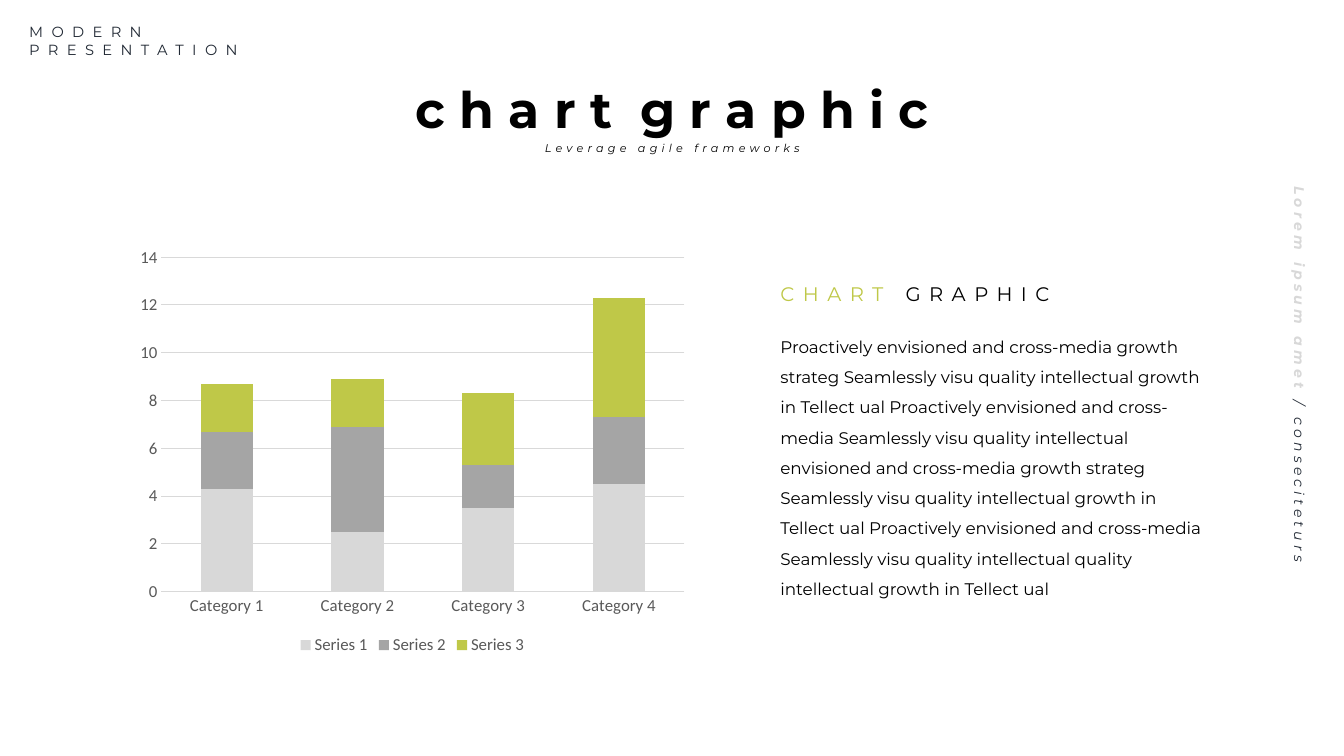
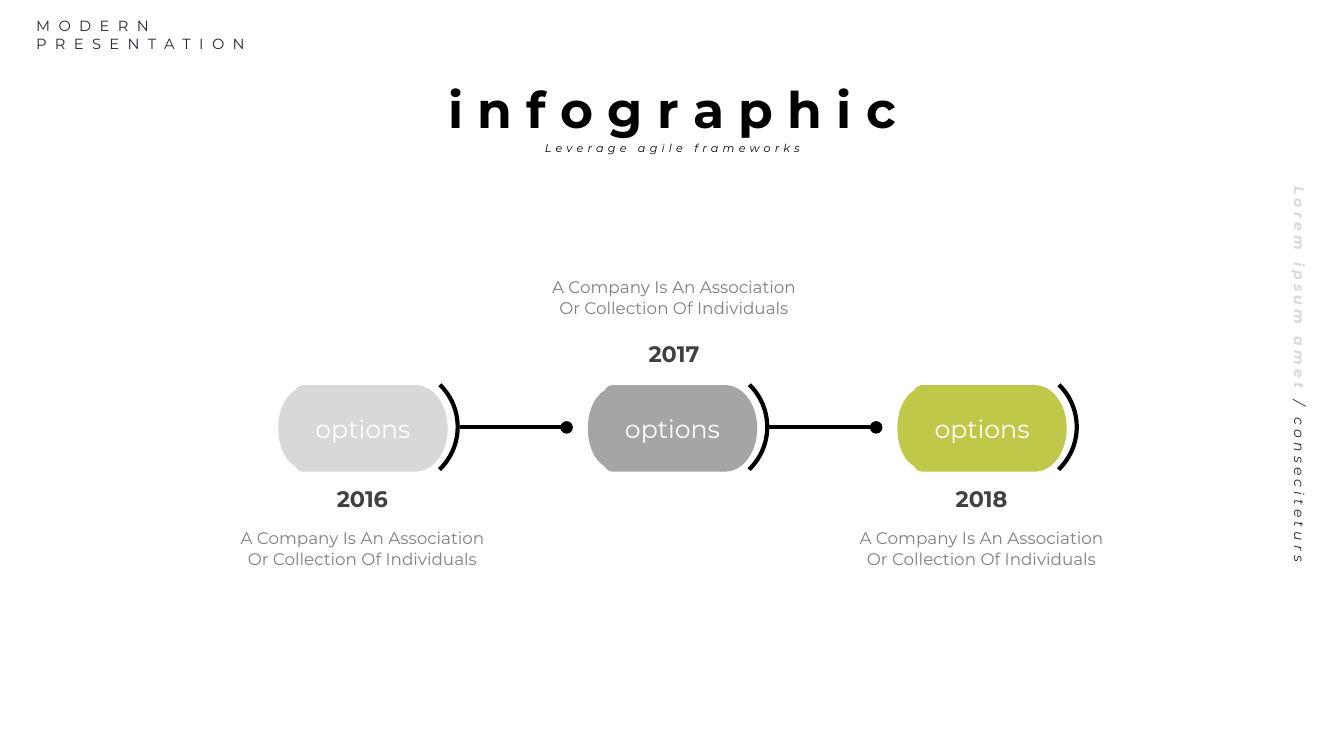
from dataclasses import dataclass
from typing import Optional

from lxml import etree
from pptx import Presentation
from pptx import util as u
from pptx.chart import data as chart_data
from pptx.dml.color import RGBColor
from pptx.enum import chart as chart_enum
from pptx.enum import shapes, text
from pptx.oxml import ns

BLACK = RGBColor(0x00, 0x00, 0x00)
WHITE = RGBColor(0xFF, 0xFF, 0xFF)
NAVY = RGBColor(0x22, 0x2A, 0x35)
LIGHT = RGBColor(0xD8, 0xD8, 0xD8)
MID = RGBColor(0xA5, 0xA5, 0xA5)
GREEN = RGBColor(0xBF, 0xC8, 0x48)
YEAR_GRAY = RGBColor(0x40, 0x40, 0x40)
NOTE_GRAY = RGBColor(0x80, 0x80, 0x80)
AXIS_GRAY = RGBColor(0x59, 0x59, 0x59)
GRID_GRAY = RGBColor(0xD9, 0xD9, 0xD9)
ACCENTS = (LIGHT, MID, GREEN)
FONT = "Montserrat"
LEFT, CENTER = text.PP_ALIGN.LEFT, text.PP_ALIGN.CENTER

STEP_LEFT, STEP_PITCH, STEP_MIDDLE = 2.76, 3.07, 4.25
LINK_Y = 4.24
PILL_TOP_SEGMENTS = "CLCLLC"
PILL_TOP = (
    (0, 0), (0, 0.15), (0.05, 0.28), (0.13, 0.35), (0.17, 0.38),
    (0.19, 0.41), (0.21, 0.43), (0.24, 0.43), (1.37, 0.43), (1.43, 0.42),
    (1.57, 0.38), (1.68, 0.21), (1.68, 0),
)


@dataclass(frozen=True)
class Area:
    left: float
    top: float
    width: float
    height: float

    def lengths(self) -> tuple:
        return tuple(u.Inches(v) for v in (self.left, self.top, self.width, self.height))


@dataclass(frozen=True)
class Style:
    size: float
    color: RGBColor = BLACK
    bold: bool = False
    italic: bool = False
    spacing: float = 0
    align: text.PP_ALIGN = LEFT
    line: Optional[float] = None


@dataclass(frozen=True)
class Span:
    text: str
    color: Optional[RGBColor] = None
    bold: Optional[bool] = None
    spacing: Optional[float] = None


@dataclass(frozen=True)
class Step:
    year: str
    color: RGBColor
    center: float
    year_top: float
    note_top: float


BRAND = Style(10.5, NAVY, spacing=6)
SIDE = Style(10, italic=True, spacing=3, align=CENTER, line=1.1)
TITLE = Style(36, bold=True, align=CENTER)
SUBTITLE = Style(8, italic=True, spacing=3, align=CENTER, line=1.5)
HEADING = Style(14, spacing=6, line=1.5)
BODY = Style(12, line=1.5)
OPTION = Style(18, WHITE, align=CENTER)
YEAR = Style(16, YEAR_GRAY, bold=True, align=CENTER)
NOTE = Style(12, NOTE_GRAY, align=CENTER)

STEPS = (
    Step("2016", LIGHT, 3.6, 4.76, 5.19),
    Step("2017", MID, 6.69, 3.33, 2.7),
    Step("2018", GREEN, 9.74, 4.76, 5.19),
)

BODY_TEXT = (
    "Proactively envisioned and cross-media growth strateg Seamlessly visu quality "
    "intellectual growth in Tellect ual Proactively envisioned and cross-media Seamlessly "
    "visu quality intellectual envisioned and cross-media growth strateg Seamlessly visu "
    "quality intellectual growth in Tellect ual Proactively envisioned and cross-media "
    "Seamlessly visu quality intellectual quality intellectual growth in Tellect ual"
)


def write_text(frame, lines: list, style: Style) -> None:
    for index, spans in enumerate(lines):
        para = frame.paragraphs[0] if index == 0 else frame.add_paragraph()
        para.alignment = style.align
        if style.line:
            para.line_spacing = style.line
        font = para.font
        font.name, font.size = FONT, u.Pt(style.size)
        font.bold, font.italic = style.bold, style.italic
        font.color.rgb = style.color
        for part in spans:
            span = para.add_run()
            span.text = part.text
            if part.color is not None:
                span.font.color.rgb = part.color
            if part.bold is not None:
                span.font.bold = part.bold
            spacing = style.spacing if part.spacing is None else part.spacing
            if spacing:
                span._r.get_or_add_rPr().set("spc", str(int(spacing * 100)))


def add_text(page, area: Area, lines: list, style: Style, inset: bool = False,
             wrap: bool = True, rotation: float = 0) -> None:
    box = page.shapes.add_textbox(*area.lengths())
    box.rotation = rotation
    frame = box.text_frame
    frame.word_wrap = wrap
    frame.auto_size = text.MSO_AUTO_SIZE.SHAPE_TO_FIT_TEXT
    if not inset:
        frame.margin_left = frame.margin_right = 0
        frame.margin_top = frame.margin_bottom = 0
    write_text(frame, lines, style)


def add_page(deck, title: list, brand_left: float, brand_top: float):
    page = deck.slides.add_slide(deck.slide_layouts[6])
    add_text(page, Area(brand_left, brand_top, 2.87, 0.35),
             [[Span("MODERN")], [Span("PRESENTATION")]], BRAND)
    add_text(page, Area(9.32, 3.61, 7.16, 0.28),
             [[Span("Lorem ipsum amet ", LIGHT, True), Span("/ conseciteturs ", NAVY)]],
             SIDE, inset=True, rotation=90)
    add_text(page, Area(4.87, 1.34, 3.6, 0.18), [[Span("Leverage agile frameworks")]], SUBTITLE)
    add_text(page, Area(3.44, 0.73, 6.45, 0.71), [title], TITLE, inset=True)
    return page


def add_stacked_chart(page) -> None:
    data = chart_data.CategoryChartData()
    data.categories = [f"Category {n}" for n in range(1, 5)]
    data.add_series("Series 1", (4.3, 2.5, 3.5, 4.5))
    data.add_series("Series 2", (2.4, 4.4, 1.8, 2.8))
    data.add_series("Series 3", (2, 2, 3, 5))
    chart = page.shapes.add_chart(chart_enum.XL_CHART_TYPE.COLUMN_STACKED,
                                  *Area(1.28, 2.37, 5.62, 4.17).lengths(), data).chart
    chart.font.name, chart.font.size = "Calibri", u.Pt(12)
    chart.font.color.rgb = AXIS_GRAY
    chart.has_title = False
    chart.has_legend = True
    chart.legend.position = chart_enum.XL_LEGEND_POSITION.BOTTOM
    chart.legend.include_in_layout = False
    plot = chart.plots[0]
    plot.gap_width, plot.overlap, plot.vary_by_categories = 150, 100, False
    for series, color in zip(plot.series, ACCENTS):
        series.format.fill.solid()
        series.format.fill.fore_color.rgb = color
    for axis in (chart.category_axis, chart.value_axis):
        axis.major_tick_mark = axis.minor_tick_mark = chart_enum.XL_TICK_MARK.NONE
    chart.value_axis.format.line.fill.background()
    chart.value_axis.has_major_gridlines = True
    for line in (chart.category_axis.format.line, chart.value_axis.major_gridlines.format.line):
        line.color.rgb, line.width = GRID_GRAY, u.Pt(0.75)


def curve_segments(shape, kinds: str) -> None:
    segments = iter(list(shape._element.iter(ns.qn("a:lnTo"))))
    for kind in kinds:
        segment = next(segments)
        if kind == "C":
            curve = etree.Element(ns.qn("a:cubicBezTo"))
            segment.addprevious(curve)
            for part in (segment, next(segments), next(segments)):
                curve.append(part[0])
                part.getparent().remove(part)


def add_pill(page, left: float, color: RGBColor) -> None:
    outline = PILL_TOP + tuple((x, -y) for x, y in reversed(PILL_TOP[:-1]))
    start, *rest = [(u.Inches(left + x), u.Inches(STEP_MIDDLE - y)) for x, y in outline]
    builder = page.shapes.build_freeform(*start)
    builder.add_line_segments(rest, close=True)
    pill = builder.convert_to_shape()
    curve_segments(pill, PILL_TOP_SEGMENTS + PILL_TOP_SEGMENTS[::-1])
    pill.shadow.inherit = False
    pill.fill.solid()
    pill.fill.fore_color.rgb = color
    pill.line.fill.background()
    pill.text_frame.word_wrap = True
    pill.text_frame.vertical_anchor = text.MSO_ANCHOR.MIDDLE
    write_text(pill.text_frame, [[Span("options")]], OPTION)


def add_arc(page, left: float) -> None:
    arc = page.shapes.add_shape(shapes.MSO_SHAPE.ARC, *Area(left, 3.65, 1.17, 1.17).lengths())
    arc.adjustments[0], arc.adjustments[1] = 26.57, 81.76
    arc.rotation = 270
    arc.shadow.inherit = False
    arc.fill.background()
    arc.line.color.rgb, arc.line.width = BLACK, u.Pt(3)


def add_link(page, left: float, right: float) -> None:
    link = page.shapes.add_connector(shapes.MSO_CONNECTOR.STRAIGHT, u.Inches(left),
                                     u.Inches(LINK_Y), u.Inches(right), u.Inches(LINK_Y))
    link.line.color.rgb, link.line.width = BLACK, u.Pt(3)
    etree.SubElement(link.line._get_or_add_ln(), ns.qn("a:tailEnd"), type="oval")
    etree.SubElement(link._element.spPr, ns.qn("a:effectLst"))


def add_step(page, step: Step, left: float, linked: bool) -> None:
    if linked:
        add_link(page, left + 1.8, left + 2.86)
    add_arc(page, left + 0.61)
    add_pill(page, left, step.color)
    add_text(page, Area(step.center - 1.38, step.note_top, 2.75, 0.5),
             [[Span("A Company Is An Association Or Collection Of Individuals")]],
             NOTE, inset=True)
    add_text(page, Area(step.center - 0.37, step.year_top, 0.73, 0.37), [[Span(step.year)]],
             YEAR, inset=True, wrap=False)


def build_chart_page(deck) -> None:
    title = [Span("c h a r t"), Span(" ", spacing=10), Span("g r a p h i c")]
    page = add_page(deck, title, 0.29, 0.23)
    add_stacked_chart(page)
    add_text(page, Area(7.74, 3.24, 4.2, 2.69), [[Span(BODY_TEXT)]], BODY)
    add_text(page, Area(7.74, 2.68, 3.71, 0.31),
             [[Span("CHART ", GREEN), Span("GRAPHIC")]], HEADING)


def build_infographic_page(deck) -> None:
    page = add_page(deck, [Span("i n f o g r a p h i c")], 0.36, 0.17)
    for index, step in enumerate(STEPS):
        add_step(page, step, STEP_LEFT + index * STEP_PITCH, index < len(STEPS) - 1)


def main() -> None:
    deck = Presentation()
    deck.slide_width, deck.slide_height = u.Inches(13.33), u.Inches(7.5)
    build_chart_page(deck)
    build_infographic_page(deck)
    deck.save("out.pptx")


if __name__ == "__main__":
    main()
